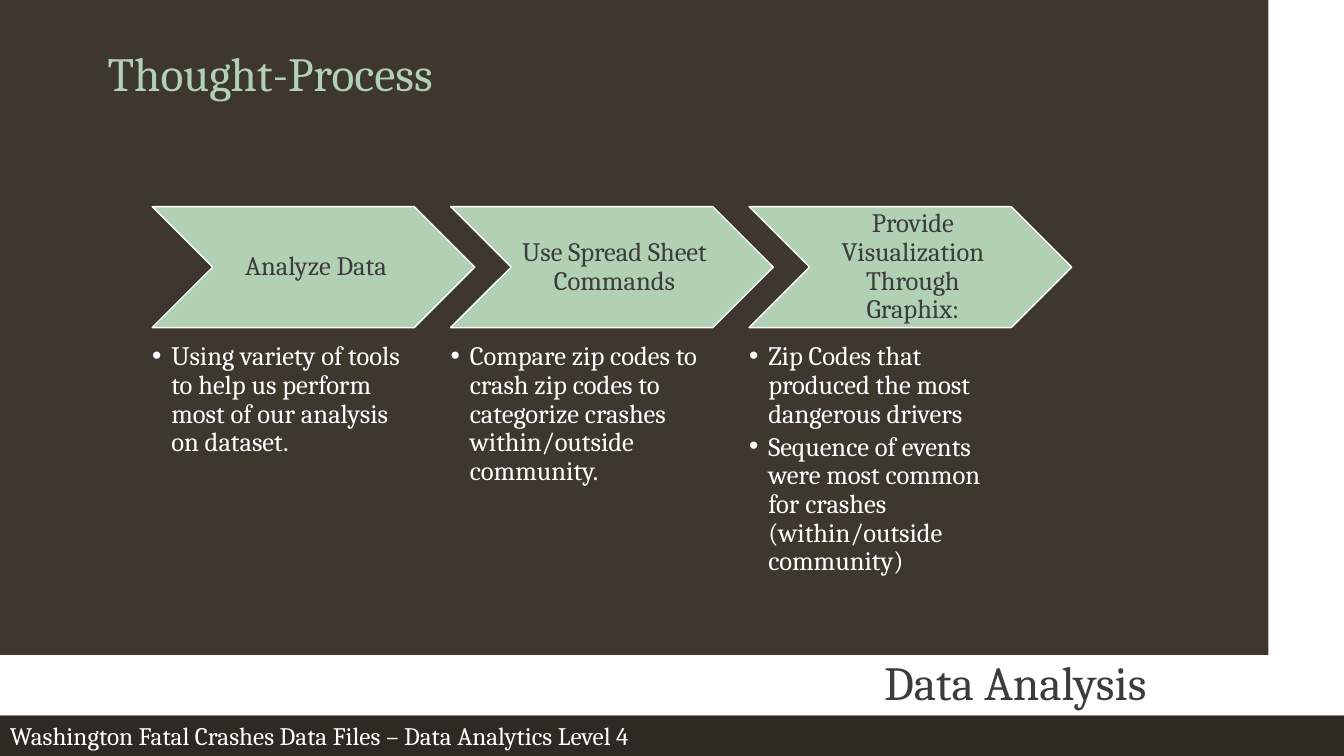
from dataclasses import dataclass

from lxml.etree import SubElement
from pptx import Presentation
from pptx.dml.color import RGBColor
from pptx.enum.shapes import MSO_SHAPE
from pptx.enum.text import MSO_ANCHOR, PP_ALIGN
from pptx.oxml.ns import qn
from pptx.util import Inches, Pt


@dataclass(frozen=True)
class Theme:
    font: str = "Cambria"
    background: str = "3D372E"
    footer: str = "2E2923"
    white: str = "FFFFFF"
    green: str = "B2D0B4"
    dark: str = "3B3C3B"
    heading: int = 34
    step: int = 19
    caption: int = 18


THEME = Theme()

STEPS = [
    ("Analyze Data",
     ["Using variety of tools to help us perform most of our analysis on dataset."]),
    ("Use Spread Sheet Commands",
     ["Compare zip codes to crash zip codes to categorize crashes "
      "within/outside community."]),
    ("Provide Visualization Through Graphix:",
     ["Zip Codes that produced the most dangerous drivers",
      "Sequence of events were most common for crashes (within/outside community)"]),
]
STEP_LEFT, STEP_PITCH = 1.51, 2.96


def rgb(value):
    return RGBColor.from_string(value)


def add_bullet(p, indent):
    pPr = p._p.get_or_add_pPr()
    pPr.set("marL", str(Inches(indent)))
    pPr.set("indent", str(-Inches(indent)))
    SubElement(pPr, qn("a:buFont"), typeface="Arial")
    SubElement(pPr, qn("a:buChar"), char="•")


def write_text(sp, paragraphs, *, size, color, align=PP_ALIGN.LEFT,
               anchor=MSO_ANCHOR.TOP, insets=(0.1, 0.05, 0.1, 0.05),
               line_spacing=0.9, space_after=0, bullet_indent=None):
    """Fill a shape or text box; insets run left, top, right, bottom."""
    tf = sp.text_frame
    tf.word_wrap = True
    tf.vertical_anchor = anchor
    (tf.margin_left, tf.margin_top,
     tf.margin_right, tf.margin_bottom) = map(Inches, insets)
    for i, text in enumerate(paragraphs):
        p = tf.add_paragraph() if i else tf.paragraphs[0]
        p.alignment = align
        p.line_spacing = line_spacing
        p.space_after = Pt(space_after)
        if bullet_indent:
            add_bullet(p, bullet_indent)
        r = p.add_run()
        r.text = text
        r.font.name = THEME.font
        r.font.size = Pt(size)
        r.font.color.rgb = rgb(color)


def add_text(s, box, paragraphs, **text_format):
    sp = s.shapes.add_textbox(*map(Inches, box))
    write_text(sp, paragraphs, **text_format)


def add_block(s, box, fill, kind=MSO_SHAPE.RECTANGLE, line=None):
    sp = s.shapes.add_shape(kind, *map(Inches, box))
    sp.shadow.inherit = False
    sp.fill.solid()
    sp.fill.fore_color.rgb = rgb(fill)
    if line:
        sp.line.color.rgb = rgb(line)
        sp.line.width = Pt(1)
    else:
        sp.line.fill.background()
    return sp


def add_step(s, left, label, points):
    """Draw one chevron with its bullet points below."""
    chevron = add_block(s, (left, 2.05, 3.2, 1.2), THEME.green,
                        MSO_SHAPE.CHEVRON, THEME.white)
    write_text(chevron, [label], size=THEME.step, color=THEME.dark,
               align=PP_ALIGN.CENTER, anchor=MSO_ANCHOR.MIDDLE,
               insets=(0.08, 0.03, 0.03, 0.03))
    add_text(s, (left, 3.4, 2.56, 2.37), points, size=THEME.step,
             color=THEME.white, insets=(0, 0, 0, 0), space_after=3,
             bullet_indent=0.19)


def main():
    prs = Presentation()
    prs.slide_width, prs.slide_height = Inches(13.33), Inches(7.5)
    s = prs.slides.add_slide(prs.slide_layouts[6])
    s.background.fill.solid()
    s.background.fill.fore_color.rgb = rgb(THEME.background)

    add_text(s, (0.97, 0.24, 11.5, 0.82), ["Thought-Process"],
             size=THEME.heading, color=THEME.green, anchor=MSO_ANCHOR.BOTTOM)

    add_block(s, (0, 6.5, 13.33, 0.6), THEME.white)
    add_block(s, (12.58, 0, 0.75, 6.5), THEME.white)
    add_text(s, (8.67, 6.38, 3.5, 0.72), ["Data Analysis"],
             size=THEME.heading, color=THEME.dark, anchor=MSO_ANCHOR.BOTTOM)

    footer = add_block(s, (0, 7.1, 13.33, 0.4), THEME.footer)
    write_text(footer,
               ["Washington Fatal Crashes Data Files – Data Analytics Level 4"],
               size=THEME.caption, color=THEME.white, line_spacing=1)

    for i, (label, points) in enumerate(STEPS):
        add_step(s, STEP_LEFT + i * STEP_PITCH, label, points)

    prs.save("out.pptx")


if __name__ == "__main__":
    main()
